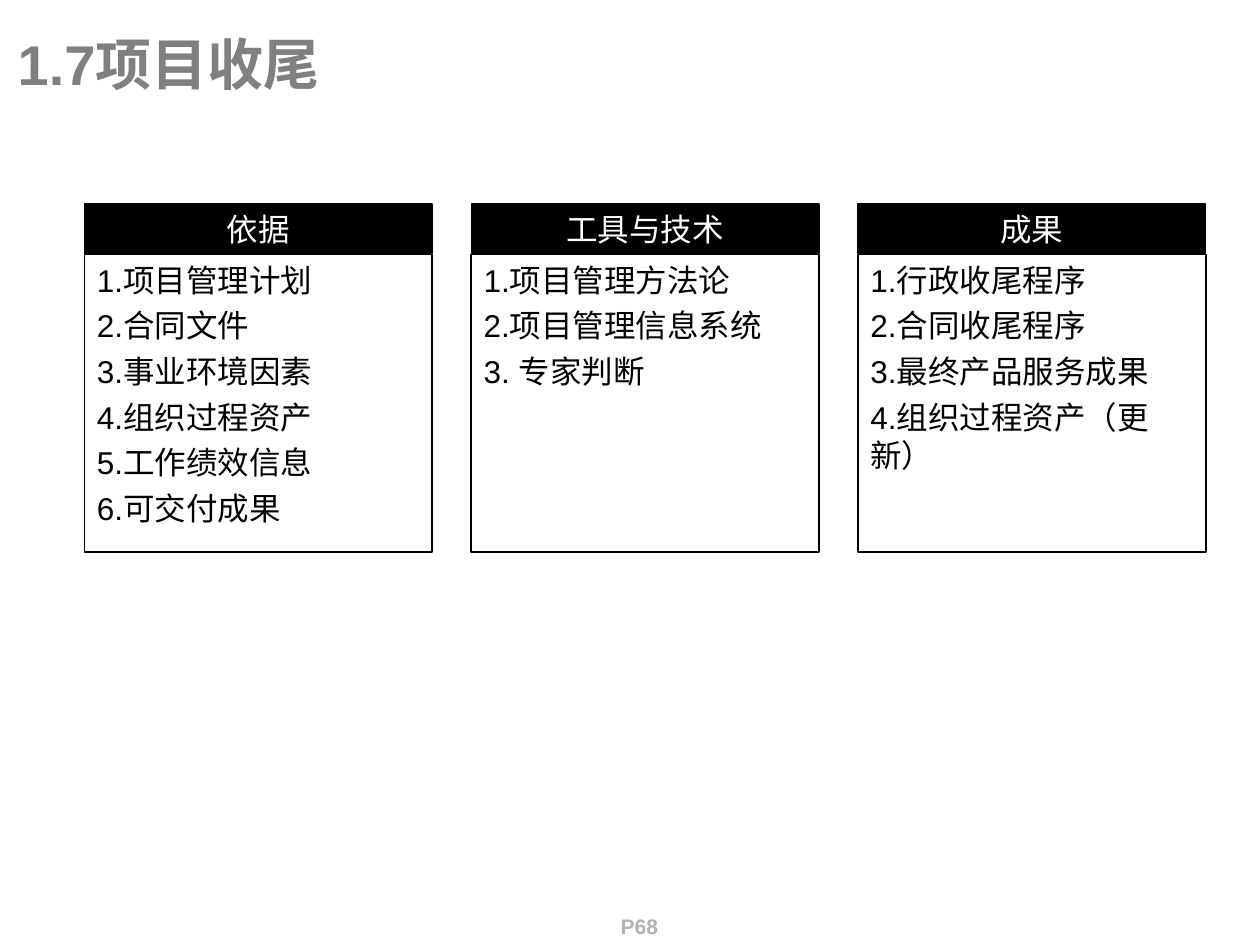
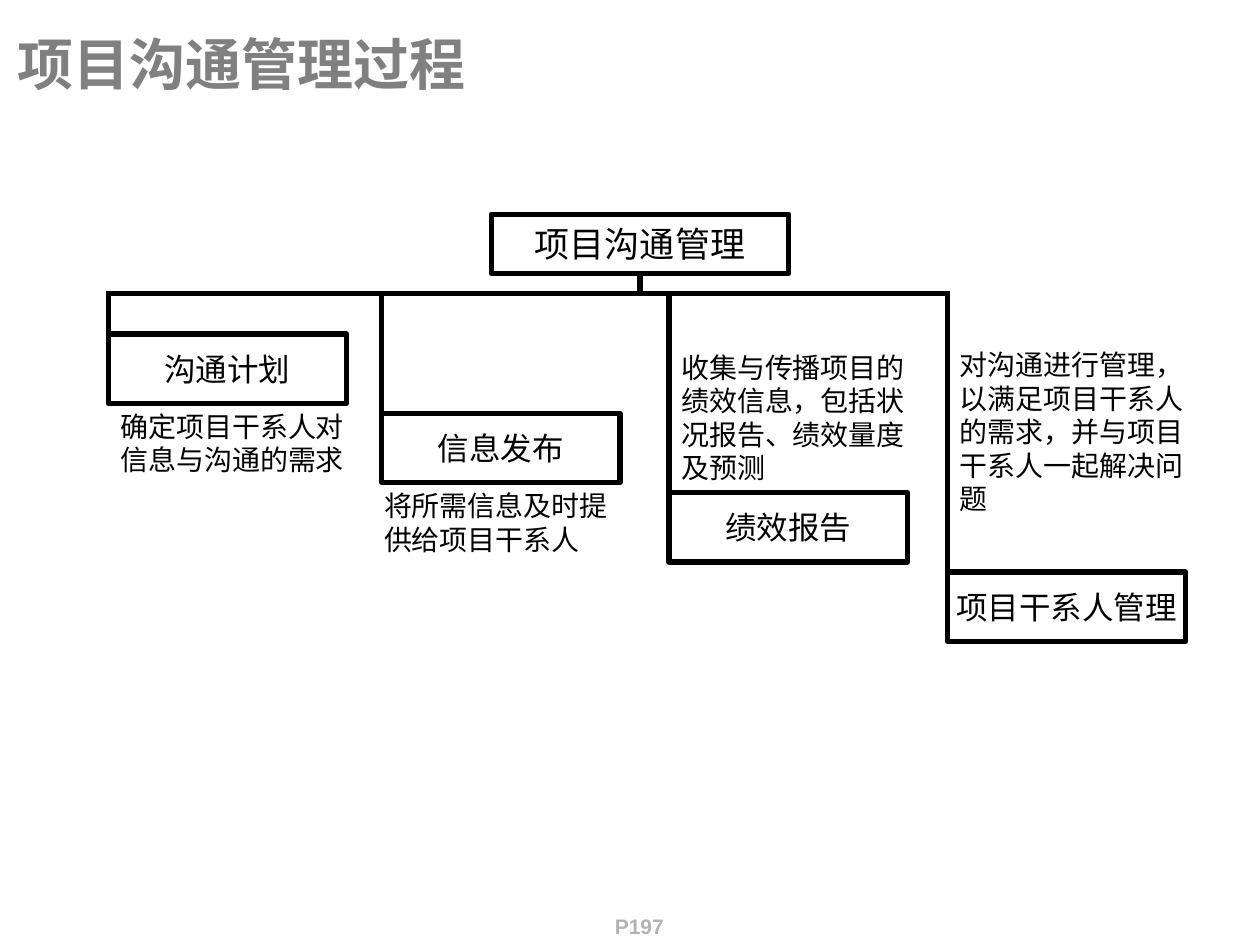
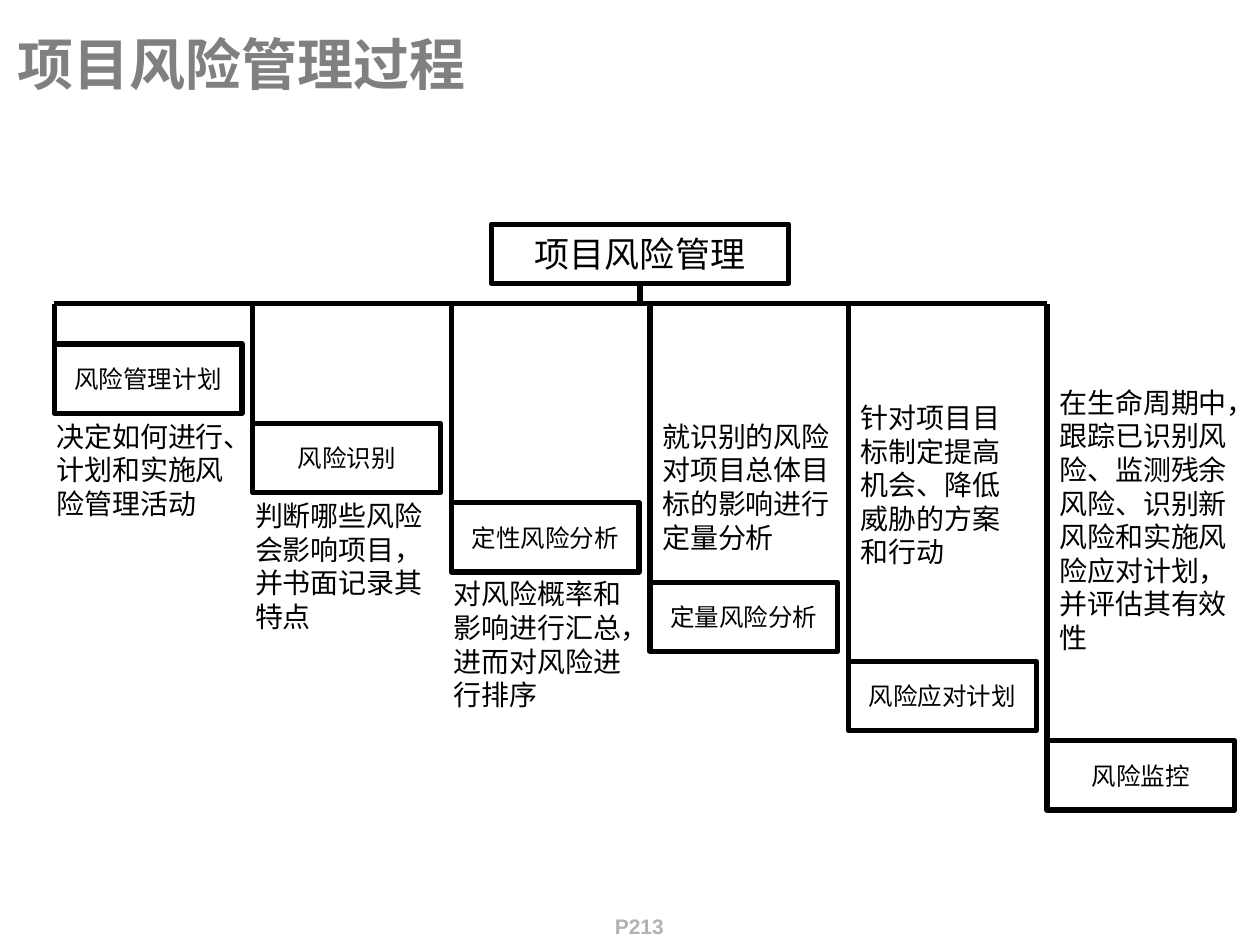
from lxml import etree
from pptx import Presentation
from pptx.dml.color import RGBColor
from pptx.enum.shapes import MSO_CONNECTOR, MSO_SHAPE
from pptx.enum.text import MSO_ANCHOR, MSO_AUTO_SIZE, PP_ALIGN
from pptx.oxml.ns import qn
from pptx.util import Inches, Pt

RECTANGLE = MSO_SHAPE.RECTANGLE
STRAIGHT = MSO_CONNECTOR.STRAIGHT
LEFT, CENTER = PP_ALIGN.LEFT, PP_ALIGN.CENTER
TOP, MIDDLE = MSO_ANCHOR.TOP, MSO_ANCHOR.MIDDLE
FIXED, GROW = MSO_AUTO_SIZE.NONE, MSO_AUTO_SIZE.SHAPE_TO_FIT_TEXT

COLORS = {"ink": "000000", "paper": "FFFFFF", "title": "808080", "footer": "B2B2B2"}
FONT = "Arial"

# The slide is a grid of 100 columns by 75 rows of square cells.
WIDTH, HEIGHT = Inches(10), Inches(7.5)
CELL = WIDTH / 100

# Cells of the process trees
ROOT_WIDTH, ROOT_HEIGHT = 23.6, 4.7
ROOT_LEFT = 39
BUS_GAP = 1.6
FIRST_DROP, STEP = 3.2, 6.3
NODE_HEIGHT = 5.5
TREE_LINE = 3

CARDS = [
    ("依据", ["1.项目管理计划", "2.合同文件", "3.事业环境因素",
            "4.组织过程资产", "5.工作绩效信息", "6.可交付成果"]),
    ("工具与技术", ["1.项目管理方法论", "2.项目管理信息系统", "3. 专家判断"]),
    ("成果", ["1.行政收尾程序", "2.合同收尾程序", "3.最终产品服务成果",
            "4.组织过程资产（更新）"]),
]

# Each branch: name, description, box of the description relative to its node
COMMUNICATION = [
    ("沟通计划", "确定项目干系人对信息与沟通的需求", (0, 5.5, 21, 6.4)),
    ("信息发布", "将所需信息及时提供给项目干系人", (-0.8, 5.5, 21.3, 6.4)),
    ("绩效报告", "收集与传播项目的绩效信息，包括状况报告、绩效量度及预测",
     (0, -11.8, 21.3, 11.7)),
    ("项目干系人管理", "对沟通进行管理，以满足项目干系人的需求，并与项目干系人一起解决问题",
     (0, -18.3, 19.7, 14.4)),
]
RISK = [
    ("风险管理计划", "决定如何进行、计划和实施风险管理活动", (-0.8, 5.5, 16.5, 9)),
    ("风险识别", "判断哪些风险会影响项目，并书面记录其特点", (-0.8, 5.5, 15.7, 11.7)),
    ("定性风险分析", "对风险概率和影响进行汇总，进而对风险进行排序",
     (-0.8, 5.4, 15.7, 11.7)),
    ("定量风险分析", "就识别的风险对项目总体目标的影响进行定量分析",
     (0, -13.4, 15.7, 11.7)),
    ("风险应对计划", "针对项目目标制定提高机会、降低威胁的方案和行动",
     (0, -21.2, 14.9, 14.4)),
    ("风险监控", "在生命周期中，跟踪已识别风险、监测残余风险、识别新风险和实施风险应对计划，并评估其有效性",
     (0, -28.7, 16.9, 22.4)),
]


def cells(*counts):
    return [round(count * CELL) for count in counts]


def color(name):
    return RGBColor.from_string(COLORS[name])


def write(shape, *lines, size=18, ink="ink", bold=False, align=LEFT, anchor=TOP,
          wrap=True, fit=FIXED, gap=0):
    """Fill a shape with one paragraph per line, gap points apart."""
    frame = shape.text_frame
    frame.word_wrap = wrap
    frame.auto_size = fit
    frame.vertical_anchor = anchor
    for index, line in enumerate(lines):
        paragraph = frame.add_paragraph() if index else frame.paragraphs[0]
        paragraph.text = line
        paragraph.alignment = align
        paragraph.space_before = Pt(gap if index else 0)
        font = paragraph.font
        font.name, font.size, font.bold = FONT, Pt(size), bold
        font.color.rgb = color(ink)


def add_box(slide, box, line_width, fill=None):
    shape = slide.shapes.add_shape(RECTANGLE, *cells(*box))
    shape.shadow.inherit = False
    if fill:
        shape.fill.solid()
        shape.fill.fore_color.rgb = color(fill)
    else:
        shape.fill.background()
    shape.line.color.rgb = color("ink")
    shape.line.width = Pt(line_width)
    return shape


def add_line(slide, *ends):
    line = slide.shapes.add_connector(STRAIGHT, *cells(*ends))
    line.line.color.rgb = color("ink")
    line.line.width = Pt(TREE_LINE)
    properties = line._element.find(qn("p:spPr"))
    etree.SubElement(properties, qn("a:effectLst"))


def add_slide(presentation, title, page):
    slide = presentation.slides.add_slide(presentation.slide_layouts[5])
    heading = slide.shapes.title
    heading.left, heading.top, heading.width, heading.height = cells(0.4, 1.7, 99.6, 6.6)
    write(heading, title, size=32, ink="title", bold=True, anchor=MIDDLE)
    footer = slide.shapes.add_textbox(*cells(47.6, 72, 6.3, 3.3))
    write(footer, page, size=12, ink="footer", bold=True, align=CENTER)
    return slide


def add_card(slide, box, heading, items):
    left, top, width, height = box
    header_height = 3.9
    header = add_box(slide, (left, top, width, header_height), 0.75, fill="ink")
    write(header, heading, ink="paper", align=CENTER)
    body_offset = header_height + 0.1
    body = add_box(slide, (left, top + body_offset, width, height - body_offset), 1)
    write(body, *items, gap=4.5)


def add_branch(slide, bus, box, branch, size):
    """Hang a node from the bus and set its description beside it."""
    left, top, width, height = box
    name, description, (shift, drop, text_width, text_height) = branch
    add_line(slide, left, bus, left, top)
    node = add_box(slide, box, TREE_LINE)
    write(node, name, size=size, align=CENTER, anchor=MIDDLE, wrap=False)
    note = slide.shapes.add_textbox(
        *cells(left + shift, top + drop, text_width, text_height))
    write(note, description, size=16, fit=GROW)


def add_tree(slide, top, root_name, branches, lefts, node_width, size, overhang=0):
    """Draw a root, a bus below it and branches that step down to the right."""
    root_bottom = top + ROOT_HEIGHT
    bus = root_bottom + BUS_GAP
    middle = ROOT_LEFT + ROOT_WIDTH / 2
    root = add_box(slide, (ROOT_LEFT, top, ROOT_WIDTH, ROOT_HEIGHT), TREE_LINE)
    write(root, root_name, size=20, align=CENTER, anchor=MIDDLE, wrap=False)
    add_line(slide, middle, root_bottom, middle, bus)
    add_line(slide, lefts[0] - overhang, bus, lefts[-1] + overhang, bus)
    for level, (left, branch) in enumerate(zip(lefts, branches)):
        node_top = bus + FIRST_DROP + level * STEP
        add_branch(slide, bus, (left, node_top, node_width, NODE_HEIGHT), branch, size)


def main():
    presentation = Presentation()
    presentation.slide_width, presentation.slide_height = WIDTH, HEIGHT

    closing = add_slide(presentation, "1.7项目收尾", "P68")
    for column, (heading, items) in enumerate(CARDS):
        add_card(closing, (6.7 + column * 30.7, 16.2, 27.6, 27.6), heading, items)

    communication = add_slide(presentation, "项目沟通管理过程", "P197")
    add_tree(communication, 17, "项目沟通管理", COMMUNICATION,
             lefts=[8.6, 30.3, 53.1, 75.2], node_width=18.9, size=18, overhang=0.2)

    risk = add_slide(presentation, "项目风险管理过程", "P213")
    add_tree(risk, 17.8, "项目风险管理", RISK,
             lefts=[4.3 + column * 15.76 for column in range(len(RISK))],
             node_width=14.9, size=14)

    presentation.save("out.pptx")


if __name__ == "__main__":
    main()
